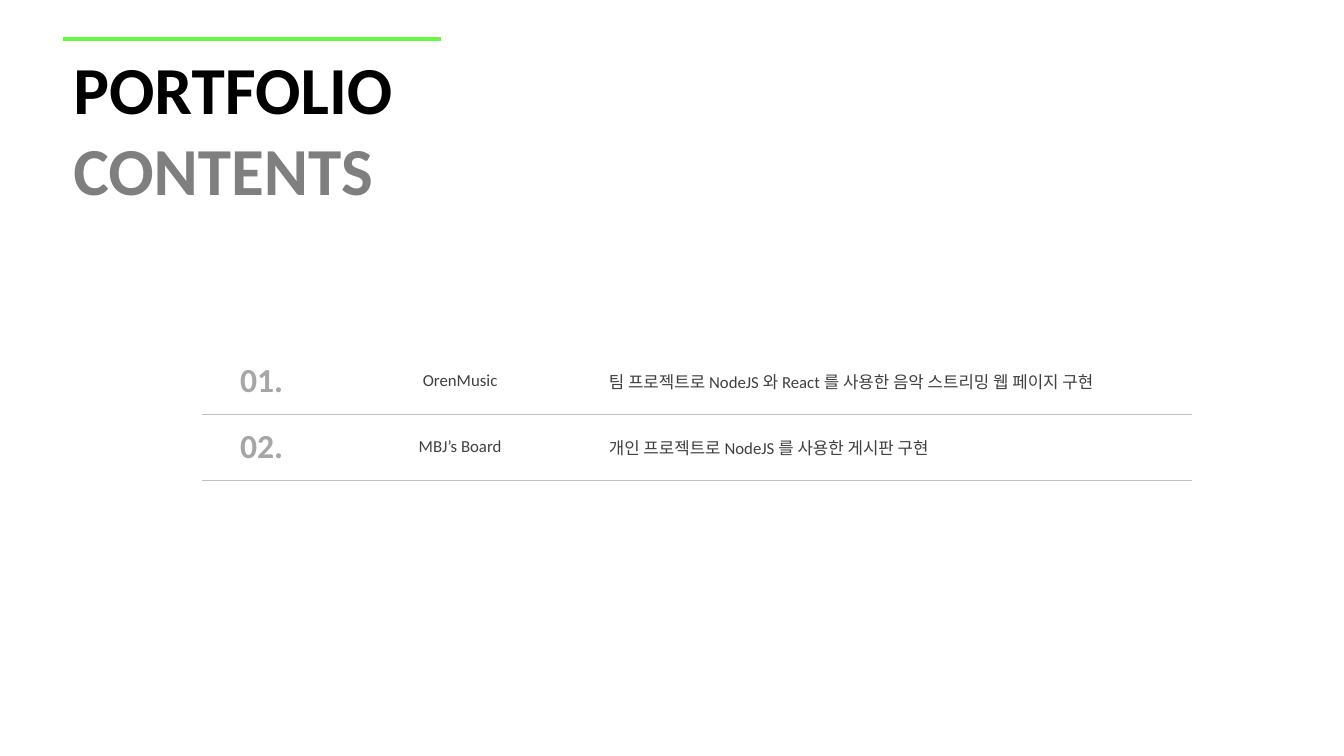
from lxml.etree import SubElement
from pptx import Presentation
from pptx.dml.color import RGBColor
from pptx.enum.shapes import MSO_CONNECTOR
from pptx.enum.text import MSO_ANCHOR, PP_ALIGN
from pptx.oxml.ns import qn
from pptx.util import Pt

FONT = "Calibri"
GREEN, BLACK, GRAY = "67FB42", "000000", "7F7F7F"
NUMBER_GRAY, TEXT_GRAY, RULE_GRAY = "A6A6A6", "404040", "BFBFBF"


def color(hex_string):
    return RGBColor.from_string(hex_string)


class ContentsSlide:
    def __init__(self, slide):
        self.slide = slide

    def style(self, run, size, hex_string, bold):
        run.font.name = FONT
        run.font.size = Pt(size)
        run.font.bold = bold
        run.font.color.rgb = color(hex_string)

    def title(self, left, top, width, height, parts):
        """Write one paragraph with a run for each (text, colour) pair."""
        box = self.slide.shapes.add_textbox(Pt(left), Pt(top), Pt(width), Pt(height))
        box.text_frame.word_wrap = True
        paragraph = box.text_frame.paragraphs[0]
        for text, hex_string in parts:
            run = paragraph.add_run()
            run.text = text
            self.style(run, 48, hex_string, True)

    def accent_line(self, left, top, width):
        line = self.slide.shapes.add_connector(
            MSO_CONNECTOR.STRAIGHT, Pt(left), Pt(top), Pt(left + width), Pt(top))
        line.line.color.rgb = color(GREEN)
        line.line.width = Pt(3)
        SubElement(line._element.spPr, qn("a:effectLst"))

    def borders(self, cell, ruled_sides):
        properties = cell._tc.get_or_add_tcPr()
        for side in "LRTB":
            border = SubElement(properties, qn(f"a:ln{side}"), w=str(Pt(0.25)))
            if side in ruled_sides:
                fill = SubElement(border, qn("a:solidFill"))
                SubElement(fill, qn("a:srgbClr"), val=RULE_GRAY)
            else:
                SubElement(border, qn("a:noFill"))

    def contents_table(self, left, top, column_widths, row_height, projects):
        table = self.slide.shapes.add_table(
            len(projects), len(column_widths), Pt(left), Pt(top),
            Pt(sum(column_widths)), Pt(row_height * len(projects))).table
        table.first_row = table.horz_banding = False
        for column, width in zip(table.columns, column_widths):
            column.width = Pt(width)
        column_styles = [
            (24, NUMBER_GRAY, True, PP_ALIGN.CENTER),
            (12, TEXT_GRAY, False, PP_ALIGN.CENTER),
            (12, TEXT_GRAY, False, PP_ALIGN.LEFT),
        ]
        for index, (row, project) in enumerate(zip(table.rows, projects)):
            row.height = Pt(row_height)
            texts = (f"{index + 1:02}.", *project)
            for cell, text, (size, hex_string, bold, align) in zip(
                    row.cells, texts, column_styles):
                self.borders(cell, "TB" if index else "B")
                cell.fill.background()
                cell.vertical_anchor = MSO_ANCHOR.MIDDLE
                cell.text_frame.text = text
                paragraph = cell.text_frame.paragraphs[0]
                paragraph.alignment = align
                self.style(paragraph.runs[0], size, hex_string, bold)


def main():
    presentation = Presentation()
    presentation.slide_width, presentation.slide_height = Pt(960), Pt(540)
    contents = ContentsSlide(
        presentation.slides.add_slide(presentation.slide_layouts[6]))
    contents.title(45.3, 30.2, 369.4, 123.4,
                   [("PORTFOLIO", BLACK), (" CONTENTS", GRAY)])
    contents.accent_line(45.3, 27.6, 270)
    contents.contents_table(144, 248.4, [85.7, 198, 424], 47.2, [
        ("OrenMusic", "팀 프로젝트로 NodeJS 와 React 를 사용한 음악 스트리밍 웹 페이지 구현"),
        ("MBJ’s Board", "개인 프로젝트로 NodeJS 를 사용한 게시판 구현"),
    ])
    presentation.save("out.pptx")


if __name__ == "__main__":
    main()
